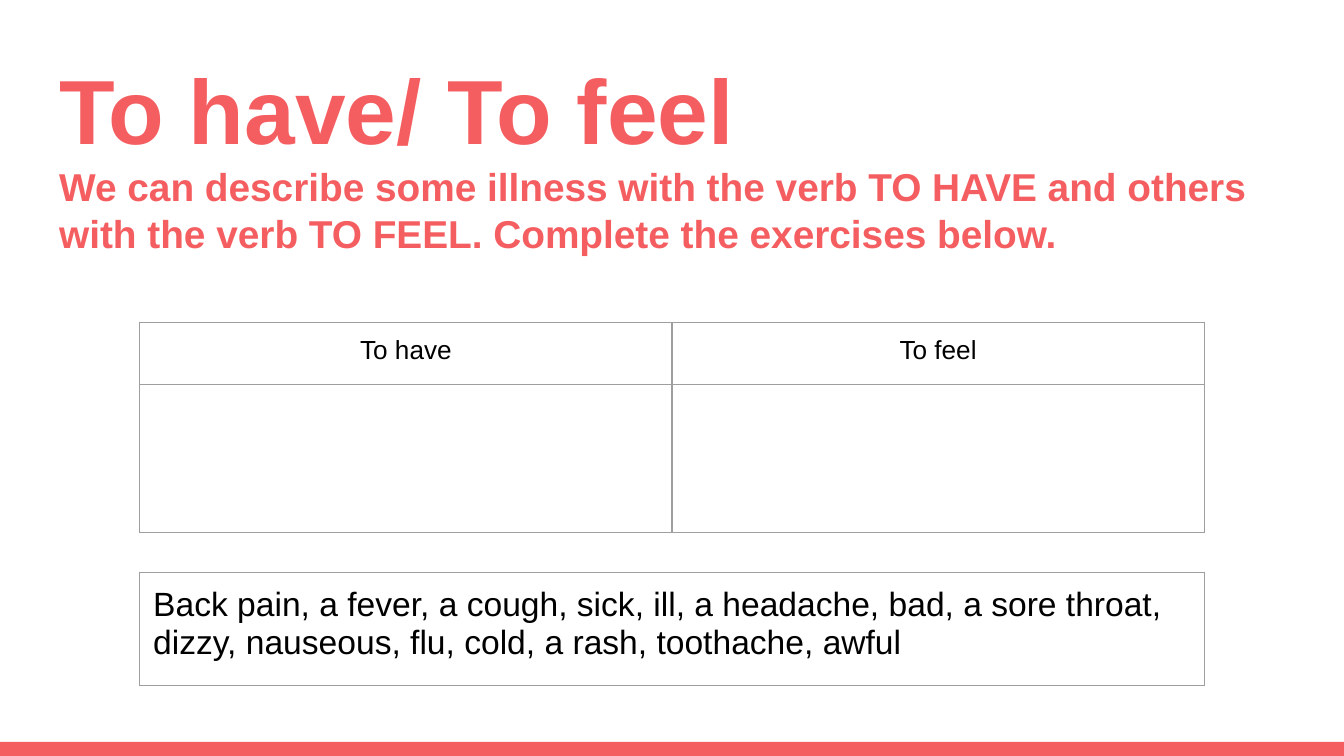
from lxml.etree import SubElement
from pptx import Presentation
from pptx.dml.color import RGBColor
from pptx.enum.shapes import MSO_SHAPE
from pptx.enum.text import MSO_ANCHOR, MSO_AUTO_SIZE, PP_ALIGN
from pptx.oxml.ns import qn
from pptx.util import Inches, Pt

WIDTH = 10
HEIGHT = WIDTH * 9 / 16
BAR_TOP, BAR_HEIGHT = 5.52, 0.11
CORAL, GREY, BLACK = "F55E61", "9E9E9E", "000000"
TABLE_LEFT, TABLE_WIDTH = 1.04, 7.92
MARGINS = ("margin_left", "margin_top", "margin_right", "margin_bottom")


def colour(value):
    return RGBColor.from_string(value)


def set_margins(target):
    for side in MARGINS:
        setattr(target, side, Inches(0.1))


def format_font(font, size, value, bold=False):
    settings = {"name": "Arial", "size": Pt(size), "bold": bold}
    for name, setting in settings.items():
        setattr(font, name, setting)
    font.color.rgb = colour(value)


def add_bottom_bar(page):
    bar = page.shapes.add_shape(
        MSO_SHAPE.RECTANGLE, 0, Inches(BAR_TOP),
        Inches(WIDTH), Inches(BAR_HEIGHT))
    bar.shadow.inherit = False
    bar.fill.solid()
    bar.fill.fore_color.rgb = colour(CORAL)
    bar.line.fill.background()


def fill_title(page, lines):
    """Write (text, size) pairs as paragraphs of the title."""
    title = page.shapes.title
    box = {"left": 0.34, "top": 0.3, "width": 9.32, "height": 0.68}
    for name, length in box.items():
        setattr(title, name, Inches(length))
    frame = title.text_frame
    set_margins(frame)
    frame.word_wrap = True
    frame.auto_size = MSO_AUTO_SIZE.NONE
    frame.vertical_anchor = MSO_ANCHOR.TOP
    frame.text = "\n".join(text for text, _ in lines)
    for para, (_, size) in zip(frame.paragraphs, lines):
        para.alignment = PP_ALIGN.LEFT
        para.line_spacing = 1.0
        para.space_before = Pt(0)
        format_font(para.runs[0].font, size, CORAL, bold=True)


def draw_borders(cell):
    properties = cell._tc.get_or_add_tcPr()
    for index, side in enumerate(("lnL", "lnR", "lnT", "lnB")):
        line = properties.makeelement(qn(f"a:{side}"), {"w": str(Pt(0.75))})
        fill = SubElement(line, qn("a:solidFill"))
        SubElement(fill, qn("a:srgbClr"), val=GREY)
        properties.insert(index, line)


def add_grid(page, top, heights, rows, size, alignment):
    """Add a plain bordered table with equal columns."""
    columns = len(rows[0])
    table = page.shapes.add_table(
        len(rows), columns, Inches(TABLE_LEFT), Inches(top),
        Inches(TABLE_WIDTH), Inches(sum(heights))).table
    table.first_row = table.horz_banding = False
    for column in table.columns:
        column.width = Inches(TABLE_WIDTH / columns)
    for row, height, texts in zip(table.rows, heights, rows):
        row.height = Inches(height)
        for cell, text in zip(row.cells, texts):
            set_margins(cell)
            cell.fill.background()
            draw_borders(cell)
            cell.text = text
            para = cell.text_frame.paragraphs[0]
            para.alignment = alignment
            for span in para.runs:
                format_font(span.font, size, BLACK)


def main():
    deck = Presentation()
    deck.slide_width, deck.slide_height = Inches(WIDTH), Inches(HEIGHT)
    page = deck.slides.add_slide(deck.slide_layouts[5])
    page.background.fill.solid()
    page.background.fill.fore_color.rgb = colour("FFFFFF")
    add_bottom_bar(page)
    fill_title(page, [
        ("To have/ To feel", 48.8),
        ("We can describe some illness with the verb TO HAVE and others "
         "with the verb TO FEEL. Complete the exercises below.", 20.8),
    ])
    add_grid(page, 2.4, [0.46, 1.1], [["To have", "To feel"], ["", ""]],
             14, PP_ALIGN.CENTER)
    add_grid(page, 4.26, [0.84], [[
        "Back pain, a fever, a cough, sick, ill, a headache, bad, "
        "a sore throat, dizzy, nauseous, flu, cold, a rash, toothache, awful"
    ]], 18, PP_ALIGN.LEFT)
    deck.save("out.pptx")


if __name__ == "__main__":
    main()
